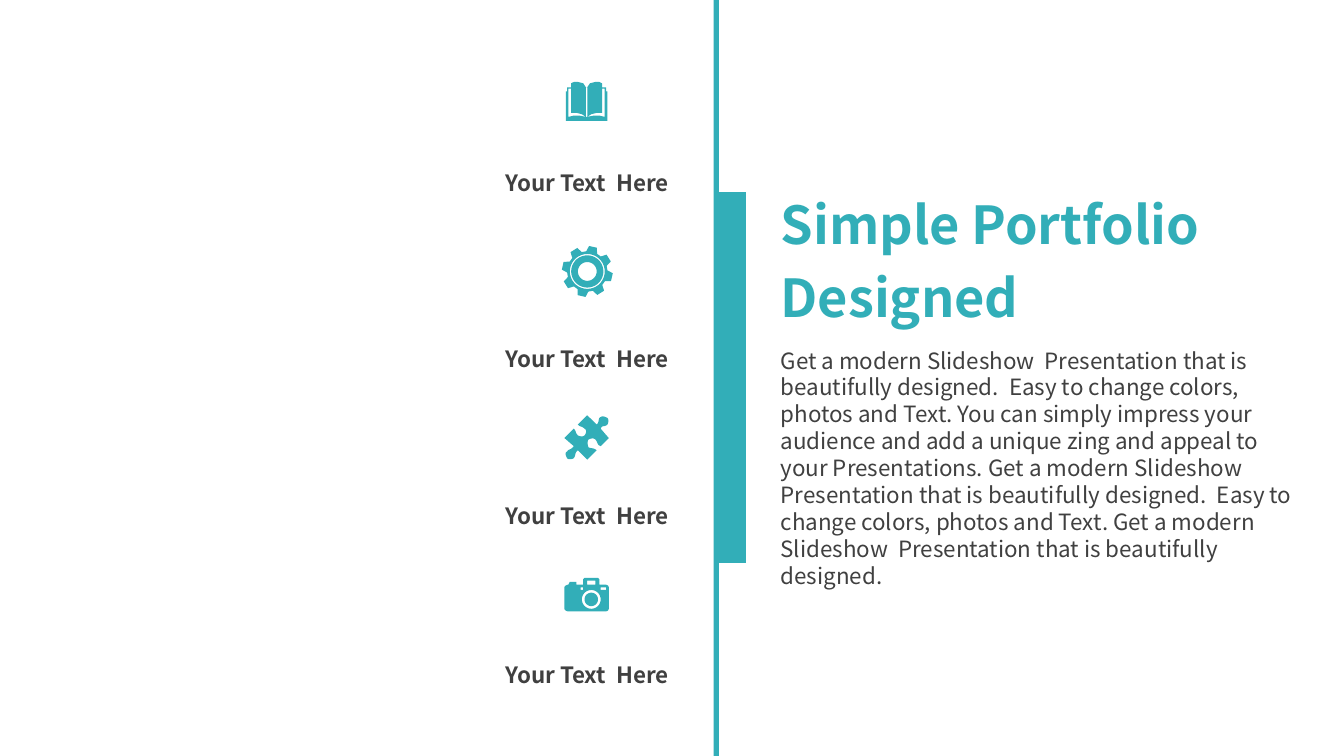
from math import cos, radians, sin

from pptx import Presentation
from pptx.dml.color import RGBColor
from pptx.enum.shapes import MSO_SHAPE
from pptx.enum.text import MSO_ANCHOR, PP_ALIGN
from pptx.util import Inches, Pt

TEAL = RGBColor(0x32, 0xAE, 0xB8)
GRAY = RGBColor(0x40, 0x40, 0x40)
FONT = "Noto Sans CJK KR"
RECTANGLE = MSO_SHAPE.RECTANGLE
TOP = MSO_ANCHOR.TOP
LEFT, CENTER = PP_ALIGN.LEFT, PP_ALIGN.CENTER
SLIDE_WIDTH = 10
SLIDE_HEIGHT = SLIDE_WIDTH * 9 / 16

prs = Presentation()
prs.slide_width, prs.slide_height = Inches(SLIDE_WIDTH), Inches(SLIDE_HEIGHT)
slide = prs.slides.add_slide(prs.slide_layouts[6])
shapes = slide.shapes


def ring_points(center, radius):
    return [(center[0] + radius * cos(radians(a)), center[1] + radius * sin(radians(a)))
            for a in range(0, 360, 10)]


def add_icon(contours):
    """Draw closed contours in inches; a six-number step is a Bezier curve."""
    builder = None
    for contour in contours:
        points = [contour[0]]
        for step in contour[1:]:
            if len(step) == 2:
                points.append(step)
                continue
            x0, y0 = points[-1]
            x1, y1, x2, y2, x3, y3 = step
            for t in (0.17, 0.33, 0.5, 0.67, 0.83, 1):
                u = 1 - t
                a, b, c, d = u**3, 3 * u * u * t, 3 * u * t * t, t**3
                points.append((a * x0 + b * x1 + c * x2 + d * x3,
                               a * y0 + b * y1 + c * y2 + d * y3))
        points = [(Inches(x), Inches(y)) for x, y in points]
        if builder is None:
            builder = shapes.build_freeform(*points[0], scale=1.0)
        else:
            builder.move_to(*points[0])
        builder.add_line_segments(points[1:], close=True)
    icon = builder.convert_to_shape()
    icon.shadow.inherit = False
    icon.fill.solid()
    icon.fill.fore_color.rgb = TEAL
    icon.line.fill.background()


# Divider and accent bar
for left, top, width, height in [(5.31, 0, 0.04, SLIDE_HEIGHT), (5.35, 1.43, 0.2, 2.76)]:
    bar = shapes.add_shape(RECTANGLE, Inches(left), Inches(top), Inches(width), Inches(height))
    bar.shadow.inherit = False
    bar.fill.solid()
    bar.fill.fore_color.rgb = TEAL
    bar.line.fill.background()

# Book: the right half mirrors the left
MIRROR = 8.73
cover = [(4.21, 0.9), (4.21, 0.68), (4.22, 0.68), (4.22, 0.65), (4.25, 0.65),
         (4.25, 0.62), (4.27, 0.61), (4.3, 0.61), (4.34, 0.62), (4.36, 0.65)]
margin = [(4.23, 0.66), (4.23, 0.87), (4.27, 0.86), (4.31, 0.86), (4.36, 0.87),
          (4.33, 0.85), (4.29, 0.84), (4.25, 0.84), (4.25, 0.66)]
add_icon([
    cover + [(MIRROR - x, y) for x, y in reversed(cover)],
    margin,
    [(MIRROR - x, y) for x, y in margin],
    [(4.36, 0.65), (4.37, 0.65), (4.37, 0.87), (4.36, 0.87)],
])

# Puzzle piece
add_icon([[
    (4.52, 3.11), (4.53, 3.12, 4.53, 3.14, 4.52, 3.16),
    (4.5, 3.18, 4.48, 3.16, 4.47, 3.19), (4.53, 3.26), (4.47, 3.32),
    (4.44, 3.31, 4.45, 3.29, 4.43, 3.27), (4.42, 3.26, 4.4, 3.26, 4.38, 3.27),
    (4.37, 3.28, 4.37, 3.31, 4.38, 3.33), (4.41, 3.34, 4.41, 3.33, 4.44, 3.35),
    (4.37, 3.42), (4.3, 3.35), (4.27, 3.38, 4.29, 3.38, 4.27, 3.41),
    (4.25, 3.42, 4.23, 3.42, 4.22, 3.41), (4.21, 3.39, 4.2, 3.37, 4.22, 3.36),
    (4.23, 3.34, 4.25, 3.35, 4.27, 3.32), (4.2, 3.26), (4.27, 3.19),
    (4.29, 3.21, 4.28, 3.22, 4.3, 3.24), (4.32, 3.25, 4.34, 3.25, 4.35, 3.24),
    (4.36, 3.23, 4.37, 3.2, 4.35, 3.19), (4.33, 3.17, 4.32, 3.18, 4.3, 3.16),
    (4.37, 3.09), (4.44, 3.16), (4.46, 3.14, 4.45, 3.13, 4.46, 3.11),
    (4.48, 3.09, 4.5, 3.1, 4.52, 3.11),
]])

# Gear: eight teeth around concentric rings
hub = (4.37, 2.02)
teeth = [(hub[0] + radius * cos(radians(tooth + offset)),
          hub[1] + radius * sin(radians(tooth + offset)))
         for tooth in range(-77, 283, 45)
         for offset, radius in [(-16, 0.15), (-9, 0.19), (9, 0.19), (16, 0.15)]]
add_icon([teeth] + [ring_points(hub, radius) for radius in (0.13, 0.12, 0.07)])

# Camera
lens = (4.4, 4.46)
body = [
    (4.35, 4.3), (4.45, 4.3), (4.46, 4.31), (4.46, 4.35), (4.5, 4.35),
    (4.52, 4.35, 4.53, 4.36, 4.53, 4.37), (4.53, 4.53),
    (4.53, 4.54, 4.52, 4.55, 4.5, 4.55), (4.23, 4.55),
    (4.22, 4.55, 4.2, 4.54, 4.2, 4.53), (4.2, 4.37),
    (4.2, 4.36, 4.22, 4.35, 4.23, 4.35), (4.24, 4.33), (4.29, 4.33),
    (4.29, 4.35), (4.34, 4.35), (4.34, 4.31),
]
windows = [[(x1, y1), (x2, y1), (x2, y2), (x1, y2)] for x1, y1, x2, y2 in [
    (4.32, 4.37, 4.34, 4.39), (4.47, 4.37, 4.51, 4.39), (4.37, 4.32, 4.43, 4.35)]]
add_icon([body, ring_points(lens, 0.07), ring_points(lens, 0.05)] + windows)

# Labels, title and description
DESCRIPTION = (
    "Get a modern Slideshow  Presentation that is beautifully designed.  Easy to change "
    "colors, photos and Text. You can simply impress your audience and add a unique zing "
    "and appeal to your Presentations. Get a modern Slideshow  Presentation that is "
    "beautifully designed.  Easy to change colors, photos and Text. Get a modern "
    "Slideshow  Presentation that is beautifully designed."
)
texts = [(3.57, top, 1.6, 0.3, "Your Text  Here", 12, GRAY, True, CENTER)
         for top in (1.21, 2.52, 3.69, 4.87)]
texts += [
    (5.71, 1.38, 3.78, 1.06, "Simple Portfolio\nDesigned", 28, TEAL, True, LEFT),
    (5.71, 2.53, 4.09, 1.92, DESCRIPTION, 12, GRAY, False, LEFT),
]
for left, top, width, height, words, size, color, bold, align in texts:
    frame = shapes.add_textbox(Inches(left), Inches(top), Inches(width), Inches(height)).text_frame
    frame.word_wrap = True
    frame.vertical_anchor = TOP
    frame.text = words
    for index, paragraph in enumerate(frame.paragraphs):
        paragraph.alignment = align
        if index:
            paragraph.space_before = Pt(5.6)
        for run in paragraph.runs:
            run.font.name = FONT
            run.font.size = Pt(size)
            run.font.bold = bold
            run.font.color.rgb = color

prs.save("out.pptx")
